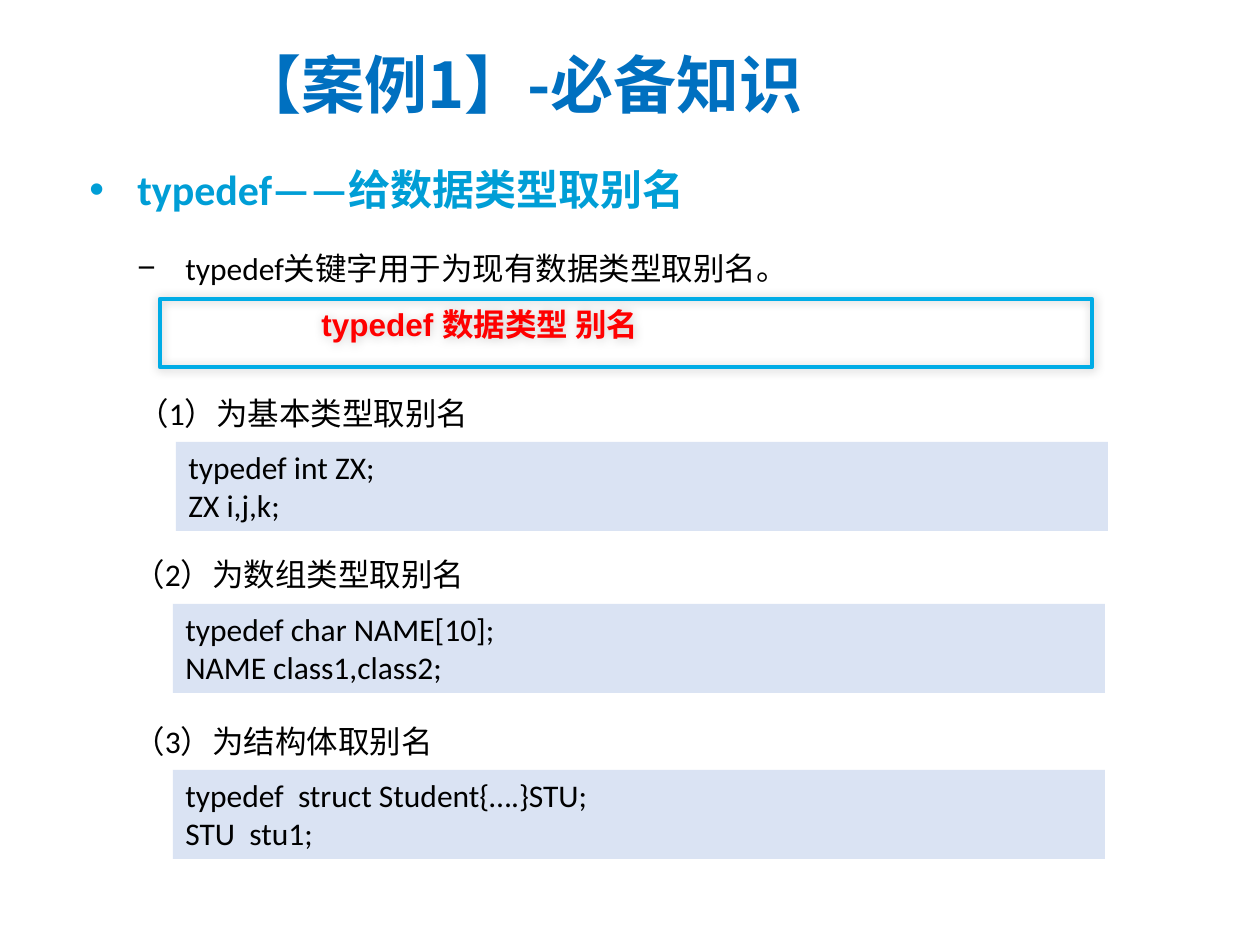
from dataclasses import dataclass

from lxml import etree
from pptx import Presentation
from pptx.dml.color import RGBColor
from pptx.enum.shapes import MSO_SHAPE
from pptx.enum.text import MSO_ANCHOR, PP_ALIGN
from pptx.oxml.ns import qn
from pptx.util import Emu, Pt

RECTANGLE = MSO_SHAPE.RECTANGLE
TOP, MIDDLE = MSO_ANCHOR.TOP, MSO_ANCHOR.MIDDLE
LEFT = PP_ALIGN.LEFT
PX_PER_INCH = 126
CJK_FONT = "Noto Sans CJK SC"
BLACK, CODE_FILL, BORDER = "000000", "DAE3F3", "00ACE6"


@dataclass(frozen=True)
class Box:
    left: int
    top: int
    width: int
    height: int


@dataclass(frozen=True)
class TextStyle:
    size: int = 18
    color: str = BLACK
    bold: bool = False
    font: str = "Calibri"
    margin: int = 0
    indent: int = 0
    bullet: str = ""
    spaced: bool = False
    anchor: MSO_ANCHOR = TOP


@dataclass(frozen=True)
class Line:
    text: str
    box: Box
    style: TextStyle


@dataclass(frozen=True)
class Example:
    label: str
    code: str
    label_box: Box
    code_left: int
    code_top: int


LABEL = TextStyle(spaced=True)
CODE = TextStyle()
SYNTAX = TextStyle(color="FF0000", bold=True, font="Arial", margin=149)
LINES = [
    Line("【案例1】-必备知识", Box(226, 30, 709, 106),
         TextStyle(36, "0070C0", True, CJK_FONT, 78, -78, anchor=MIDDLE)),
    Line("typedef——给数据类型取别名", Box(77, 132, 650, 89),
         TextStyle(24, "009ED6", True, margin=48, indent=-48, bullet="•", spaced=True)),
    Line("typedef关键字用于为现有数据类型取别名。", Box(125, 224, 1062, 63),
         TextStyle(margin=48, indent=-48, bullet="−", spaced=True)),
]
EXAMPLES = [
    Example("（1）为基本类型取别名", "typedef int ZX;\nZX i,j,k;",
            Box(125, 369, 1062, 63), 176, 442),
    Example("（2）为数组类型取别名", "typedef char NAME[10];\nNAME class1,class2;",
            Box(121, 530, 1062, 71), 173, 604),
    Example("（3）为结构体取别名", "typedef  struct Student{….}STU;\nSTU  stu1;",
            Box(121, 697, 1062, 71), 173, 770),
]


def px(value: int) -> Emu:
    return Emu(round(value * 914400 / PX_PER_INCH))


def rgb(value: str) -> RGBColor:
    return RGBColor.from_string(value)


def place(box: Box) -> tuple:
    return px(box.left), px(box.top), px(box.width), px(box.height)


def write(shape, text: str, style: TextStyle) -> None:
    frame = shape.text_frame
    frame.text = text
    frame.word_wrap = True
    frame.vertical_anchor = style.anchor
    for paragraph in frame.paragraphs:
        paragraph.alignment = LEFT
        if style.spaced:
            paragraph.line_spacing = 1.5
            paragraph.space_before = Pt(style.size * 0.2)
        properties = paragraph._p.get_or_add_pPr()
        properties.set("marL", str(px(style.margin)))
        properties.set("indent", str(px(style.indent)))
        if style.bullet:
            etree.SubElement(properties, qn("a:buFont"), typeface="Arial")
            etree.SubElement(properties, qn("a:buChar"), char=style.bullet)
        for run in paragraph.runs:
            run.font.size = Pt(style.size)
            run.font.bold = style.bold
            run.font.name = style.font
            run.font.color.rgb = rgb(style.color)
            etree.SubElement(run._r.get_or_add_rPr(), qn("a:ea"), typeface=CJK_FONT)


def add_text(slide, line: Line) -> None:
    write(slide.shapes.add_textbox(*place(line.box)), line.text, line.style)


def add_rectangle(slide, box: Box):
    shape = slide.shapes.add_shape(RECTANGLE, *place(box))
    shape.shadow.inherit = False
    return shape


def add_syntax(slide) -> None:
    shape = add_rectangle(slide, Box(160, 299, 932, 68))
    shape.fill.background()
    shape.line.color.rgb = rgb(BORDER)
    shape.line.width = Pt(2.5)
    effects = shape._element.spPr.find(qn("a:effectLst"))
    shadow = etree.SubElement(effects, qn("a:outerShdw"), blurRad=str(Pt(6)),
                              dist="0", dir="13500000")
    color = etree.SubElement(shadow, qn("a:srgbClr"), val=BLACK)
    etree.SubElement(color, qn("a:alpha"), val="20000")
    write(shape, "typedef 数据类型 别名", SYNTAX)


def add_example(slide, example: Example) -> None:
    add_text(slide, Line(example.label, example.label_box, LABEL))
    shape = add_rectangle(slide, Box(example.code_left, example.code_top, 932, 89))
    shape.fill.solid()
    shape.fill.fore_color.rgb = rgb(CODE_FILL)
    shape.line.fill.background()
    write(shape, example.code, CODE)


def main() -> None:
    presentation = Presentation()
    presentation.slide_width = px(1260)
    presentation.slide_height = px(945)
    slide = presentation.slides.add_slide(presentation.slide_layouts[6])
    for line in LINES:
        add_text(slide, line)
    add_syntax(slide)
    for example in EXAMPLES:
        add_example(slide, example)
    presentation.save("out.pptx")


if __name__ == "__main__":
    main()
